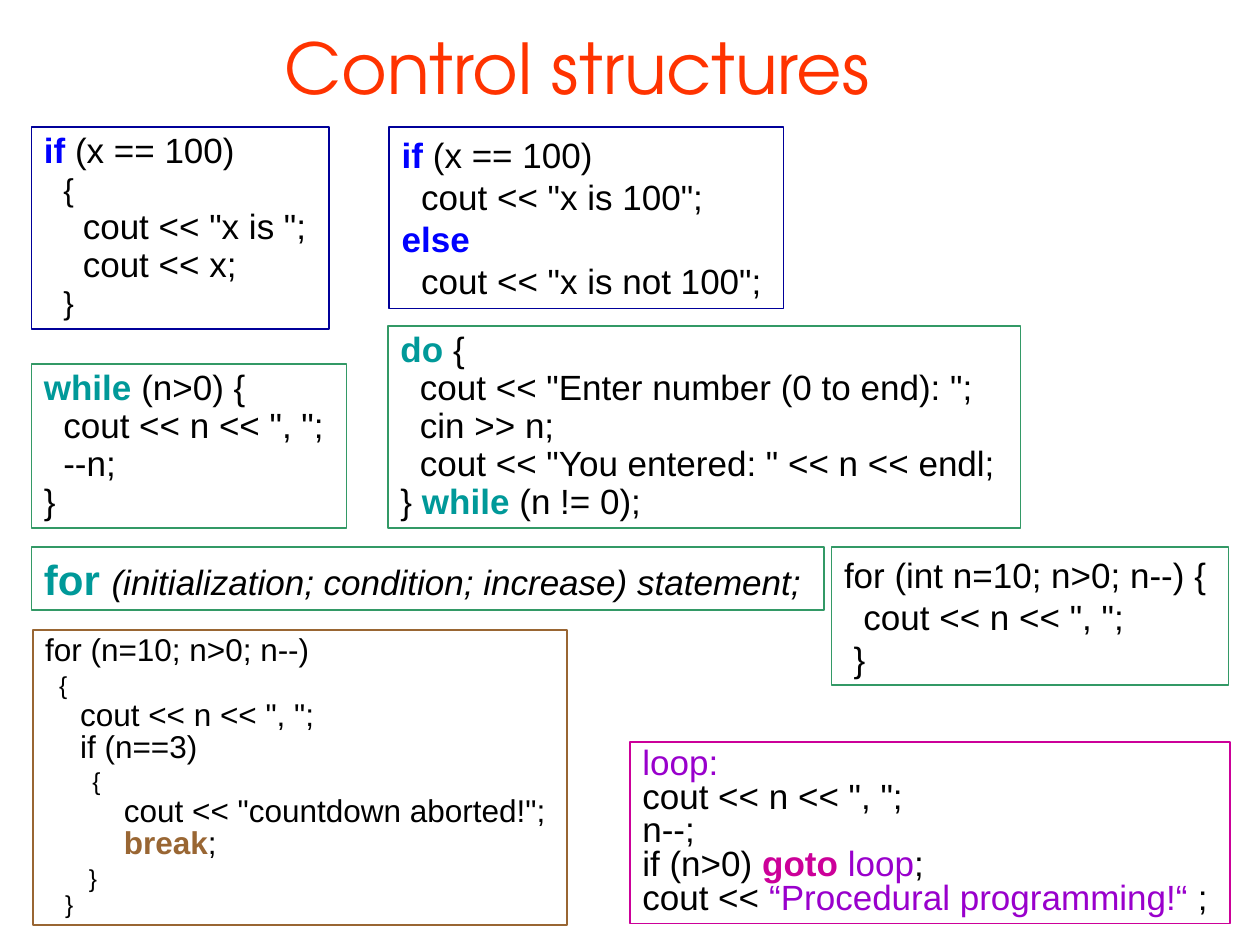
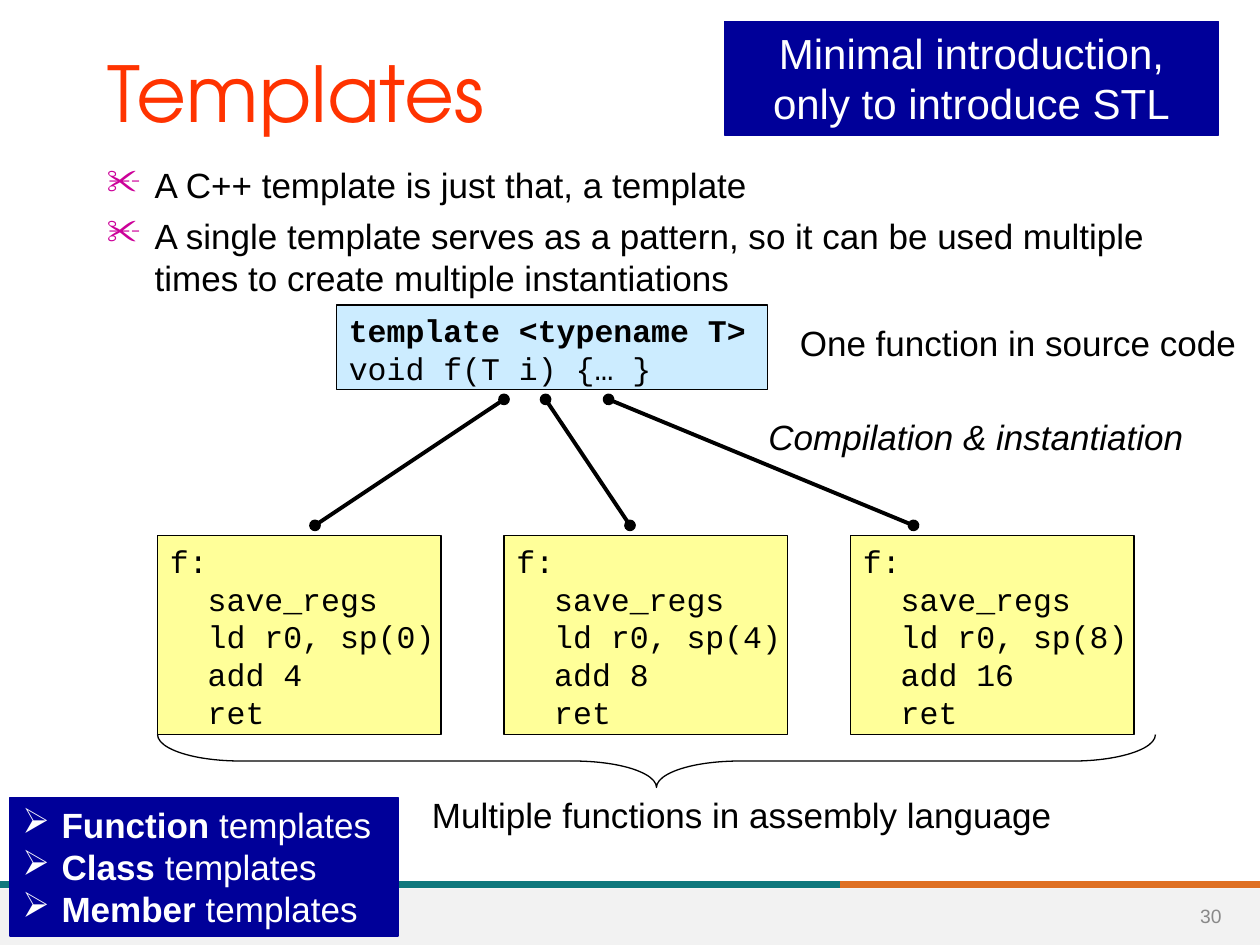
from lxml.etree import SubElement
from pptx import Presentation
from pptx.dml.color import RGBColor
from pptx.enum.shapes import MSO_CONNECTOR, MSO_SHAPE
from pptx.enum.text import MSO_ANCHOR, MSO_AUTO_SIZE, PP_ALIGN
from pptx.oxml.ns import qn
from pptx.util import Inches, Pt

HUES = {
    "title": "FF3300", "ink": "000000", "white": "FFFFFF", "navy": "000099",
    "blue": "0000FF", "green": "339966", "teal": "009999", "brown": "996633",
    "pink": "CC0099", "violet": "9900CC", "sky": "CCECFF", "yellow": "FFFF99",
    "gray": "898989", "foot": "F2F2F2", "band": "0F787D", "accent": "DF7023",
}
SANS, MONO, HEAD = "Arial", "Courier New", "TeX Gyre Adventor"
SPACE = {SANS: 0.278, MONO: 0.6}  # width of a space in ems


def word(text, hue):
    """A bold coloured keyword."""
    return text, {"hue": hue, "bold": True}


# Each code line: indent in spaces, then runs (text or (text, format)).
CODE = [
    {"at": (0.25, 1.01, 2.36, 1.6), "line": "navy", "gap": 0.9, "rows": [
        (0, word("if ", "blue"), "(x == 100)"),
        (2, ("{", {"size": 18}), " "),
        (4, 'cout << "x is ";'),
        (4, "cout << x;"),
        (2, ("}", {"size": 18}), " ")]},
    {"at": (3.09, 1.01, 3.13, 1.44), "line": "navy", "rows": [
        (0, word("if ", "blue"), "(x == 100)"),
        (2, 'cout << "x is 100";'),
        (0, word("else", "blue")),
        (2, 'cout << "x is not 100";')]},
    {"at": (0.25, 2.89, 2.5, 1.3), "line": "green", "gap": 0.9, "rows": [
        (0, word("while", "teal"), " (n>0) {"),
        (2, 'cout << n << ", ";'),
        (2, "--n;"),
        (0, "}")]},
    {"at": (3.08, 2.59, 5.02, 1.6), "line": "green", "gap": 0.9, "rows": [
        (0, word("do", "teal"), " {"),
        (2, 'cout << "Enter number (0 to end): ";'),
        (2, "cin >> n;"),
        (2, 'cout << "You entered: " << n << endl;'),
        (0, "} ", word("while ", "teal"), "(n != 0);")]},
    {"at": (0.25, 4.34, 6.29, 0.5), "line": "green", "rows": [
        (0, ("for ", {"size": 24, "hue": "teal", "bold": True}),
         ("(initialization; condition; increase) statement;",
          {"italic": True}))]},
    {"at": (6.6, 4.34, 3.15, 1.1), "line": "green", "rows": [
        (0, "for (int n=10; n>0; n--) {"),
        (2, 'cout << n << ", ";'),
        (1, "}")]},
    {"at": (0.26, 5, 4.24, 2.34), "line": "brown", "fill": "white",
     "gap": 0.85, "size": 18, "rows": [
         (0, "for (n=10; n>0; n--)"),
         (1.6, ("{", {"size": 14}), " "),
         (4, 'cout << n << ", ";'),
         (4, "if (n==3)"),
         (5.4, ("{", {"size": 14}), " "),
         (9, 'cout << "countdown aborted!";'),
         (9, word("break", "brown"), ";"),
         (4, " ", ("}", {"size": 14})),
         (2.3, ("}", {"size": 14}))]},
    {"at": (5, 5.89, 4.76, 1.44), "line": "pink", "gap": 0.8, "rows": [
        (0, ("loop:", {"hue": "violet"})),
        (0, 'cout << n << ", ";'),
        (0, "n--;"),
        (0, "if (n>0) ", word("goto ", "pink"),
         ("loop", {"hue": "violet"}), ";"),
        (0, "cout << ",
         ("“Procedural programming!“ ", {"hue": "violet"}), ";")]},
]

POINTS = [
    (0, "A C++ template is just that, a template"),
    (0, "A single template serves as a pattern, so it can be used multiple "
        "times to create multiple instantiations"),
]
SOURCE = [(0, word("template <typename T>", "ink")), (0, "void f(T i) {… }")]
LABELS = [
    ((6.25, 2.5, 3.67, 0.44), "One function in source code", {}),
    ((6, 3.25, 3.58, 0.44), "Compilation & instantiation", {"italic": True}),
    ((3.33, 6.25, 5.17, 0.44), "Multiple functions in assembly language", {}),
]
# Stack offset, added value, line start x, line end x
COPIES = [(0, 4, 4, 2.5), (4, 8, 4.33, 5), (8, 16, 4.83, 7.25)]
KINDS = ["Function", "Class", "Member"]


def rgb(name):
    return RGBColor.from_string(HUES[name])


def style(font, face, size, hue="ink", bold=False, italic=False):
    font.name, font.size = face, Pt(size)
    font.bold, font.italic = bold, italic
    font.color.rgb = rgb(hue)


def block(slide, at, fill=None, line=None, width=1, kind=MSO_SHAPE.RECTANGLE):
    """Add a preset shape without shadow."""
    shape = slide.shapes.add_shape(kind, *map(Inches, at))
    shape.shadow.inherit = False
    if fill:
        shape.fill.solid()
        shape.fill.fore_color.rgb = rgb(fill)
    else:
        shape.fill.background()
    if line:
        shape.line.color.rgb = rgb(line)
        shape.line.width = Pt(width)
    else:
        shape.line.fill.background()
    return shape


def write(shape, rows, face=SANS, size=20, hue="ink", gap=None,
          align=PP_ALIGN.LEFT, anchor=MSO_ANCHOR.TOP):
    frame = shape.text_frame
    frame.word_wrap = True
    frame.vertical_anchor = anchor
    if align == PP_ALIGN.LEFT:
        frame.margin_right = 0
    for i, (indent, *runs) in enumerate(rows):
        para = frame.add_paragraph() if i else frame.paragraphs[0]
        para.alignment = align
        if gap:
            para.line_spacing = gap
        if indent:
            left = Inches(indent * SPACE[face] * size / 72)
            para._p.get_or_add_pPr().set("marL", str(left))
        for part in runs:
            text, form = (part, {}) if isinstance(part, str) else part
            run = para.add_run()
            run.text = text
            style(run.font, face, **{"size": size, "hue": hue, **form})


def label(slide, at, rows, **form):
    box = slide.shapes.add_textbox(*map(Inches, at))
    write(box, rows, **form)
    return box


def bullet(shape, mark, hue, hang):
    for para in shape.text_frame.paragraphs:
        props = para._p.get_or_add_pPr()
        props.set("marL", str(Inches(hang)))
        props.set("indent", str(Inches(-hang)))
        color = SubElement(props, qn("a:buClr"))
        SubElement(color, qn("a:srgbClr"), val=HUES[hue])
        SubElement(props, qn("a:buChar"), char=mark)


def stroke(slide, start, end, hue, width, dots=False):
    line = slide.shapes.add_connector(
        MSO_CONNECTOR.STRAIGHT, *map(Inches, (*start, *end)))
    line.line.color.rgb = rgb(hue)
    line.line.width = Pt(width)
    if dots:
        for tag in ("a:headEnd", "a:tailEnd"):
            SubElement(line.line._get_or_add_ln(), qn(tag), type="oval")
    SubElement(line._element.spPr, qn("a:effectLst"))


def start(deck, text, at, size, align):
    """Add a slide with its title."""
    slide = deck.slides.add_slide(deck.slide_layouts[5])
    title = slide.shapes.title
    title.left, title.top, title.width, title.height = map(Inches, at)
    frame = title.text_frame
    frame.text = text
    frame.auto_size = MSO_AUTO_SIZE.NONE
    frame.vertical_anchor = MSO_ANCHOR.MIDDLE
    para = frame.paragraphs[0]
    para.alignment = align
    style(para.runs[0].font, HEAD, size, "title")
    return slide


def footer(slide, number):
    stroke(slide, (6.67, 7.02), (10, 7.02), "accent", 4)
    stroke(slide, (0, 7.02), (6.67, 7.02), "band", 4)
    block(slide, (0, 7.05, 10, 0.45), "foot")
    label(slide, (9.35, 7.07, 0.52, 0.4), [(0, number)], size=11, hue="gray",
          align=PP_ALIGN.CENTER, anchor=MSO_ANCHOR.MIDDLE)


def control(deck):
    slide = start(deck, "Control structures", (0.33, 0.17, 8.5, 0.71), 40,
                  PP_ALIGN.CENTER)
    for code in CODE:
        shape = block(slide, code["at"], code.get("fill"), code["line"])
        write(shape, code["rows"], size=code.get("size", 20),
              gap=code.get("gap"), anchor=MSO_ANCHOR.MIDDLE)


def templates(deck):
    slide = start(deck, "Templates", (0.75, 0.37, 8.5, 0.71), 44,
                  PP_ALIGN.LEFT)
    footer(slide, "30")

    points = label(slide, (0.75, 1.25, 8.5, 1.25), POINTS)
    for para in points.text_frame.paragraphs:
        para.space_before = Pt(5)
    bullet(points, "✂", "pink", 0.38)

    source = block(slide, (2.67, 2.42, 3.42, 0.67), "sky", "ink", 0.75)
    write(source, SOURCE, MONO, 18)

    for i, (stack, add, top, foot) in enumerate(COPIES):
        stroke(slide, (top, 3.17), (foot, 4.17), "ink", 2.25, dots=True)
        shape = block(slide, (1.25 + 2.75 * i, 4.25, 2.25, 1.58),
                      "yellow", "ink", 0.75)
        body = ["save_regs", f"ld r0, sp({stack})", f"add {add}", "ret"]
        write(shape, [(0, "f:")] + [(2, text) for text in body], MONO, 18)

    for at, text, form in LABELS:
        label(slide, at, [(0, (text, form))])

    brace = block(slide, (5, 2.08, 0.42, 7.92), None, "ink", 0.75,
                  MSO_SHAPE.RIGHT_BRACE)
    brace.rotation = 90
    brace.adjustments[0] = 1.57

    notice = block(slide, (5.75, 0.17, 3.92, 0.9), "navy", "navy")
    write(notice, [(0, "Minimal introduction, only to introduce STL")],
          size=24, hue="white", align=PP_ALIGN.CENTER)

    kinds = block(slide, (0.08, 6.33, 3.08, 1.1), "navy", "navy")
    write(kinds, [(0, word(kind, "white"), " templates") for kind in KINDS],
          hue="white")
    bullet(kinds, "➢", "white", 0.31)


def main():
    deck = Presentation()
    deck.slide_width, deck.slide_height = Inches(10), Inches(7.5)
    control(deck)
    templates(deck)
    deck.save("out.pptx")


if __name__ == "__main__":
    main()
